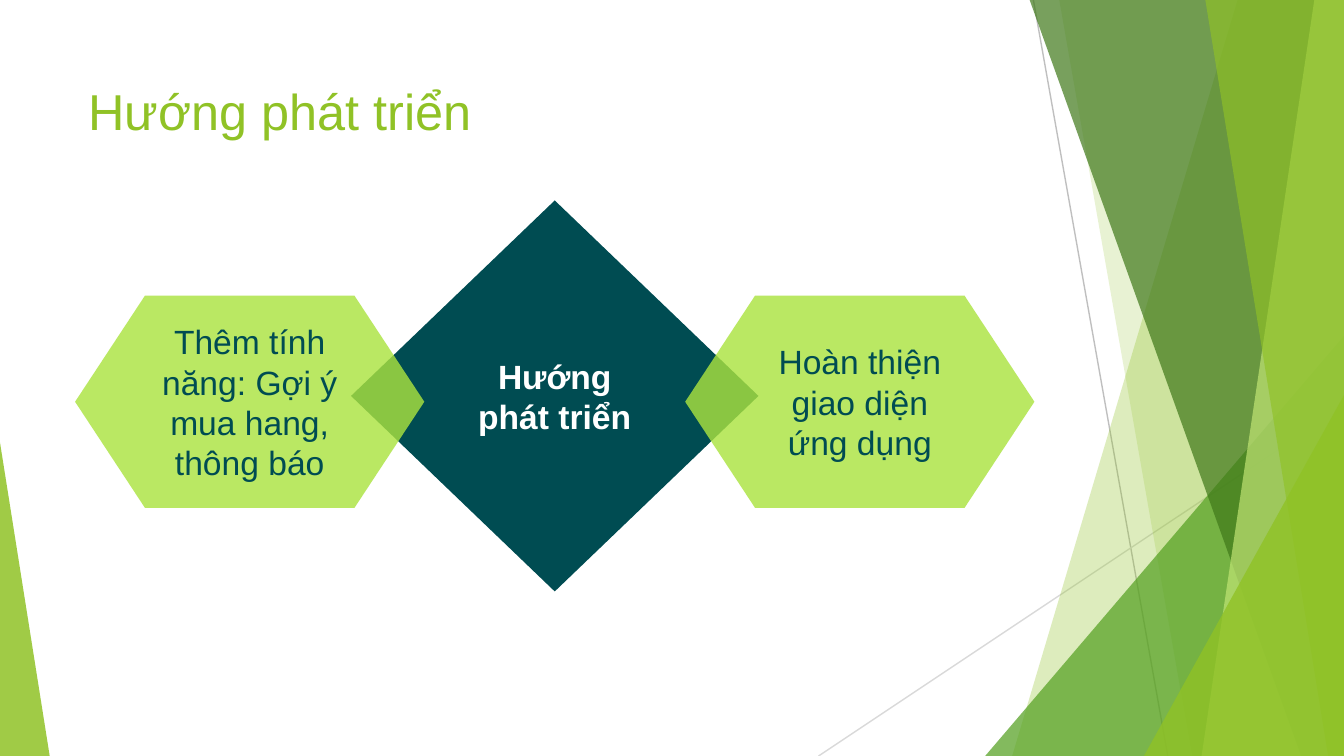
import lxml.etree
import pptx
import pptx.dml.color
import pptx.enum.shapes
import pptx.enum.text
import pptx.oxml.ns
import pptx.util

Cm = pptx.util.Cm
SHAPE = pptx.enum.shapes.MSO_SHAPE
ANCHOR = pptx.enum.text.MSO_ANCHOR
ALIGN = pptx.enum.text.PP_ALIGN
WIDTH, HEIGHT = 25.4, 14.29
FONT = "Arial"
LIME, TEAL, WHITE = "90C226", "004C52", "FFFFFF"


def paint(color_format, color, opacity=100):
    """Set a colour from a hex string, with opacity in percent."""
    color_format.rgb = pptx.dml.color.RGBColor.from_string(color)
    if opacity < 100:
        for element in color_format._xFill.iter(pptx.oxml.ns.qn("a:srgbClr")):
            alpha = lxml.etree.SubElement(element, pptx.oxml.ns.qn("a:alpha"))
            alpha.set("val", str(opacity * 1000))


def fill_flat(shape, color, opacity=100):
    """Give a shape a plain fill without line or shadow."""
    shape.shadow.inherit = False
    shape.line.fill.background()
    shape.fill.solid()
    paint_target = shape.fill.fore_color
    paint(paint_target, color, opacity)


def write(shape, text, size, color, align, anchor, bold=False):
    """Write one formatted paragraph into a shape."""
    frame = shape.text_frame
    frame.word_wrap = True
    frame.auto_size = pptx.enum.text.MSO_AUTO_SIZE.NONE
    frame.vertical_anchor = anchor
    frame.margin_left = frame.margin_right = Cm(0.25)
    frame.margin_top = frame.margin_bottom = Cm(0.25)
    frame.text = text
    paragraph = frame.paragraphs[0]
    paragraph.alignment = align
    paragraph.font.name = FONT
    paragraph.font.size = pptx.util.Pt(size)
    paragraph.font.bold = bold
    paint(paragraph.font.color, color)


def add_ray(slide, start, end, color):
    """Draw a thin background line between two points."""
    ray = slide.shapes.add_connector(
        pptx.enum.shapes.MSO_CONNECTOR.STRAIGHT, *map(Cm, start + end))
    ray.line.width = pptx.util.Pt(0.75)
    paint_line = ray.line
    paint_line.fill.solid()
    paint(paint_line.color, color)
    lxml.etree.SubElement(ray._element.spPr, pptx.oxml.ns.qn("a:effectLst"))


def add_band(slide, box, top_x, bottom_x, color, opacity):
    """Draw a band from a slanted left edge to the right side of the box."""
    left, top, width, height = box
    right, bottom = left + width, top + height
    builder = slide.shapes.build_freeform(Cm(left + top_x), Cm(top))
    corners = [(right, top), (right, bottom), (left + bottom_x, bottom)]
    builder.add_line_segments([(Cm(x), Cm(y)) for x, y in corners])
    fill_flat(builder.convert_to_shape(), color, opacity)


def add_wedge(slide, box, apex, color, opacity):
    """Draw a right triangle whose apex is at 0 (left) or 1 (right)."""
    wedge = slide.shapes.add_shape(SHAPE.ISOSCELES_TRIANGLE, *map(Cm, box))
    wedge.adjustments[0] = apex
    fill_flat(wedge, color, opacity)


def add_right_facets(slide, box):
    """Layer the rays, bands and wedges along the right side of the box."""
    left, top, width, height = box
    right, bottom = left + width, top + height

    def corner_wedge(wedge_width, wedge_height, color, opacity):
        """Place a wedge in the bottom right corner."""
        corner = (right - wedge_width, bottom - wedge_height, wedge_width, wedge_height)
        add_wedge(slide, corner, 1, color, opacity)

    add_ray(slide, (left + 4.06, top), (left + 6.6, bottom), "BFBFBF")
    add_ray(slide, (right, top + 7.67), (left, bottom), "D9D9D9")
    add_band(slide, box, 7.92, 3.66, LIME, 30)
    add_band(slide, box, 4.55, 7.06, LIME, 20)
    corner_wedge(6.78, 7.94, "54A021", 72)
    for top_x, bottom_x, color, opacity in (
            (3.99, 9.12, "3F7819", 70),
            (9.37, 7.24, "C0E474", 70),
            (7.31, 9.63, LIME, 65)):
        add_band(slide, box, top_x, bottom_x, color, opacity)
    corner_wedge(3.78, 6.82, LIME, 80)


def add_title(slide, box):
    """Place and format the title placeholder."""
    title = slide.shapes.title
    title.left, title.top, title.width, title.height = map(Cm, box)
    write(title, "Hướng phát triển", 27, LIME, ALIGN.LEFT, ANCHOR.TOP)


def add_directions(slide, box):
    """Draw the central diamond with an idea overlapping each side."""
    left, top, width, height = box
    diamond_width, idea_width, idea_height = 7.7, 6.6, 4.01
    diamond = slide.shapes.add_shape(
        SHAPE.DIAMOND, Cm(left + (width - diamond_width) / 2), Cm(top),
        Cm(diamond_width), Cm(height))
    fill_flat(diamond, TEAL)
    write(diamond, "Hướng phát triển", 18, WHITE, ALIGN.CENTER, ANCHOR.MIDDLE, True)
    ideas = (
        (left, "Thêm tính năng: Gợi ý mua hang, thông báo"),
        (left + width - idea_width, "Hoàn thiện giao diện ứng dụng"))
    for idea_left, text in ideas:
        idea = slide.shapes.add_shape(
            SHAPE.FLOWCHART_PREPARATION, Cm(idea_left), Cm(top + 1.8),
            Cm(idea_width), Cm(idea_height))
        fill_flat(idea, "ABE33F", 81)
        write(idea, text, 18, TEAL, ALIGN.CENTER, ANCHOR.MIDDLE)


def main():
    """Build the slide and save it."""
    deck = pptx.Presentation()
    deck.slide_width, deck.slide_height = Cm(WIDTH), Cm(HEIGHT)
    slide = deck.slides.add_slide(deck.slide_layouts[5])
    add_right_facets(slide, (15.47, 0, WIDTH - 15.47, HEIGHT))
    add_wedge(slide, (0, 8.36, 0.94, HEIGHT - 8.36), 0, LIME, 85)
    add_title(slide, (1.42, 1.27, 17.91, 2.74))
    add_directions(slide, (1.42, 3.79, 18.13, 7.39))
    deck.save("out.pptx")


if __name__ == "__main__":
    main()
